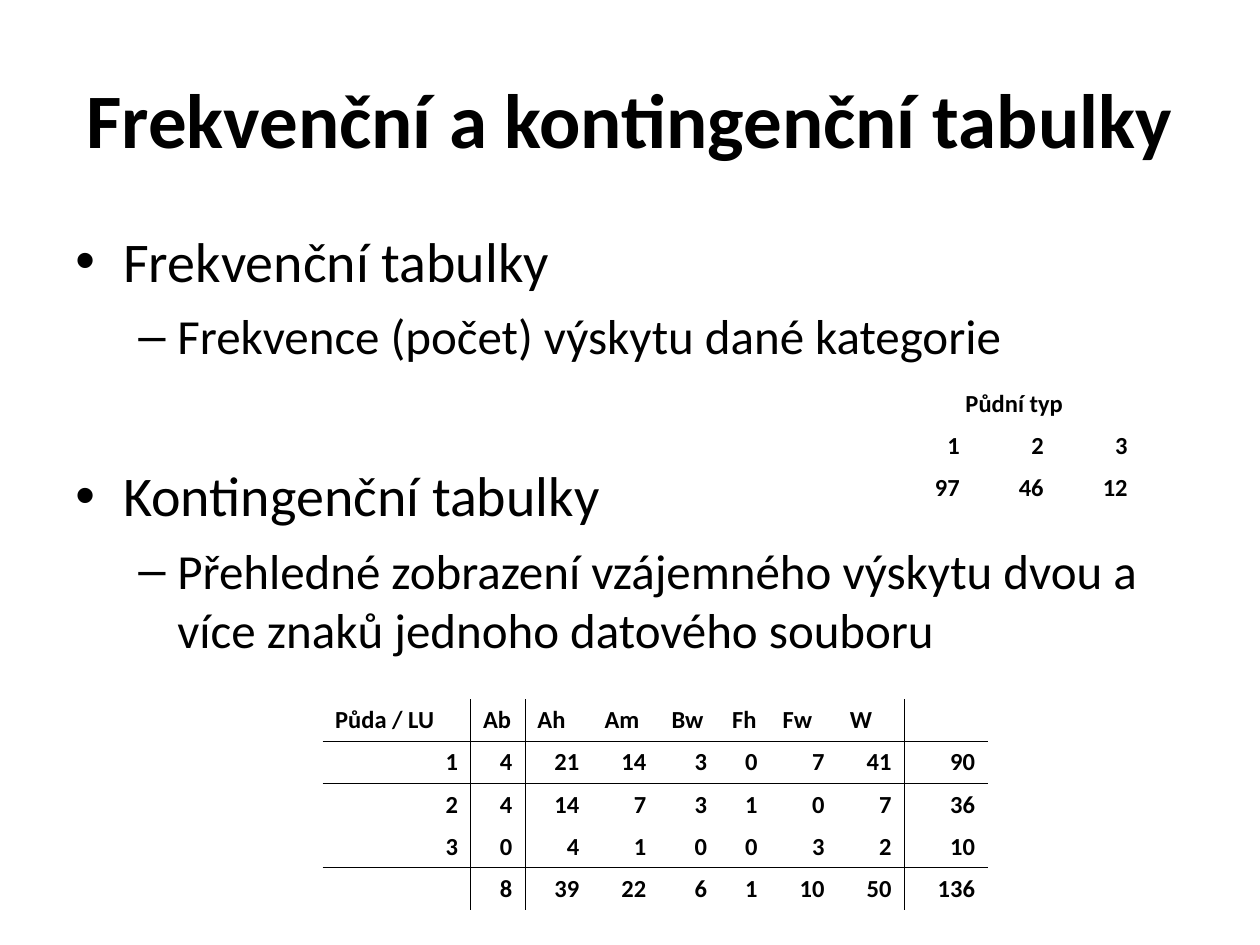
from dataclasses import dataclass

from lxml import etree
from pptx import Presentation
from pptx.dml.color import RGBColor
from pptx.enum.text import MSO_ANCHOR, PP_ALIGN
from pptx.oxml.ns import qn
from pptx.util import Inches, Pt

LEFT, MID, RIGHT = PP_ALIGN.LEFT, PP_ALIGN.CENTER, PP_ALIGN.RIGHT
TOP, CENTRE, BOTTOM = MSO_ANCHOR.TOP, MSO_ANCHOR.MIDDLE, MSO_ANCHOR.BOTTOM
WIDE, HIGH = Inches(10), Inches(7.5)
PLAIN = "{2D5ABB26-0587-4C30-8999-92F81FD0307C}"


@dataclass(frozen=True)
class Theme:
    """Hold the font, colour, type sizes and rule width."""
    font: str = "Calibri"
    ink: str = "000000"
    title: int = 44
    body: tuple = (32, 28)
    cell: int = 14
    rule: float = 0.45


@dataclass(frozen=True)
class Box:
    """Hold a place as shares of the slide's size."""
    left: float
    top: float
    wide: float
    high: float

    def place(self) -> tuple:
        """Return left, top, width and height as lengths."""
        return (round(self.left * WIDE), round(self.top * HIGH),
                round(self.wide * WIDE), round(self.high * HIGH))


@dataclass(frozen=True)
class Level:
    """Hold the mark and indents of an outline level."""
    mark: str
    edge: float
    hang: float


@dataclass(frozen=True)
class Point:
    """Hold one line of the outline."""
    text: str
    level: int
    gap: int


@dataclass(frozen=True)
class Grid:
    """Hold a table, its column weights and its ruled columns and rows."""
    box: Box
    cols: tuple
    rows: tuple
    head: PP_ALIGN
    merge: bool = False
    down: tuple = ()
    across: tuple = ()


THEME = Theme()
TITLE = Box(0.05, 0.04, 0.9, 0.17)
BODY = Box(0.05, 0.233, 0.9, 0.66)
LEVELS = (Level("•", 0.38, 0.38), Level("–", 0.81, 0.31))
POINTS = (
    Point("Frekvenční tabulky", 0, 8),
    Point("Frekvence (počet) výskytu dané kategorie", 1, 7),
    Point("Kontingenční tabulky", 0, 55),
    Point("Přehledné zobrazení vzájemného výskytu dvou a více znaků "
          "jednoho datového souboru", 1, 7),
)
CROSS = Grid(
    Box(0.256, 0.74, 0.528, 0.223),
    (1.17, 0.43, 0.53, 0.53, 0.48, 0.4, 0.53, 0.53, 0.66),
    (("Půda / LU", "Ab", "Ah", "Am", "Bw", "Fh", "Fw", "W", ""),
     (1, 4, 21, 14, 3, 0, 7, 41, 90),
     (2, 4, 14, 7, 3, 1, 0, 7, 36),
     (3, 0, 4, 1, 0, 0, 3, 2, 10),
     ("", 8, 39, 22, 6, 1, 10, 50, 136)),
    LEFT, down=(0, 7), across=(0, 3))
COUNT = Grid(
    Box(0.705, 0.405, 0.2, 0.134), (1, 1, 1),
    (("Půdní typ", "", ""), (1, 2, 3), (97, 46, 12)), MID, merge=True)


def style(para, size: int, bold: bool = False) -> None:
    """Format the runs of a paragraph, or its end if it is empty."""
    for run in para.runs:
        font = run.font
        font.name, font.size, font.bold = THEME.font, Pt(size), bold
        font.color.rgb = RGBColor.from_string(THEME.ink)
    if not para.runs:
        etree.SubElement(para._p, qn("a:endParaRPr"), sz=str(size * 100))


def frame(slide, box: Box, anchor: MSO_ANCHOR):
    """Add a wrapping text box and return its frame."""
    text = slide.shapes.add_textbox(*box.place()).text_frame
    text.word_wrap, text.vertical_anchor = True, anchor
    return text


def bullet(para, level: Level) -> None:
    """Give a paragraph its mark and hanging indent."""
    props = para._p.get_or_add_pPr()
    props.set("marL", str(Inches(level.edge)))
    props.set("indent", str(-Inches(level.hang)))
    etree.SubElement(props, qn("a:buFont"), typeface="Arial")
    etree.SubElement(props, qn("a:buChar"), char=level.mark)


def outline(slide, box: Box, points: tuple) -> None:
    """Draw the bulleted outline."""
    text = frame(slide, box, TOP)
    for num, point in enumerate(points):
        para = text.add_paragraph() if num else text.paragraphs[0]
        para.text, para.level = point.text, point.level
        para.space_before = Pt(point.gap)
        bullet(para, LEVELS[point.level])
        style(para, THEME.body[point.level])


def border(cell, sides: dict) -> None:
    """Rule the chosen sides of a cell."""
    props = cell._tc.get_or_add_tcPr()
    for side, ruled in sides.items():
        if ruled:
            line = etree.SubElement(props, qn(f"a:ln{side}"), w=str(Pt(THEME.rule)))
            fill = etree.SubElement(line, qn("a:solidFill"))
            etree.SubElement(fill, qn("a:srgbClr"), val=THEME.ink)


def table(slide, grid: Grid) -> None:
    """Draw a plain table with rules between chosen columns and rows."""
    place = grid.box.place()
    tab = slide.shapes.add_table(len(grid.rows), len(grid.cols), *place).table
    tab.first_row = tab.horz_banding = False
    tab._tbl.tblPr.find(qn("a:tableStyleId")).text = PLAIN
    for col, share in zip(tab.columns, grid.cols):
        col.width = round(place[2] * share / sum(grid.cols))
    for r, row in enumerate(grid.rows):
        for c, value in enumerate(row):
            cell = tab.cell(r, c)
            cell.text, cell.vertical_anchor = str(value), BOTTOM
            para = cell.text_frame.paragraphs[0]
            para.alignment = RIGHT if r else grid.head
            style(para, THEME.cell, True)
            border(cell, {"L": c - 1 in grid.down, "R": c in grid.down,
                          "T": r - 1 in grid.across, "B": r in grid.across})
            cell.fill.background()
    if grid.merge:
        tab.cell(0, 0).merge(tab.cell(0, len(grid.cols) - 1))


def main() -> None:
    """Build and save the slide."""
    deck = Presentation()
    deck.slide_width, deck.slide_height = WIDE, HIGH
    slide = deck.slides.add_slide(deck.slide_layouts[6])
    head = frame(slide, TITLE, CENTRE).paragraphs[0]
    head.text, head.alignment = "Frekvenční a kontingenční tabulky", MID
    style(head, THEME.title, True)
    outline(slide, BODY, POINTS)
    for grid in (CROSS, COUNT):
        table(slide, grid)
    deck.save("out.pptx")


if __name__ == "__main__":
    main()
